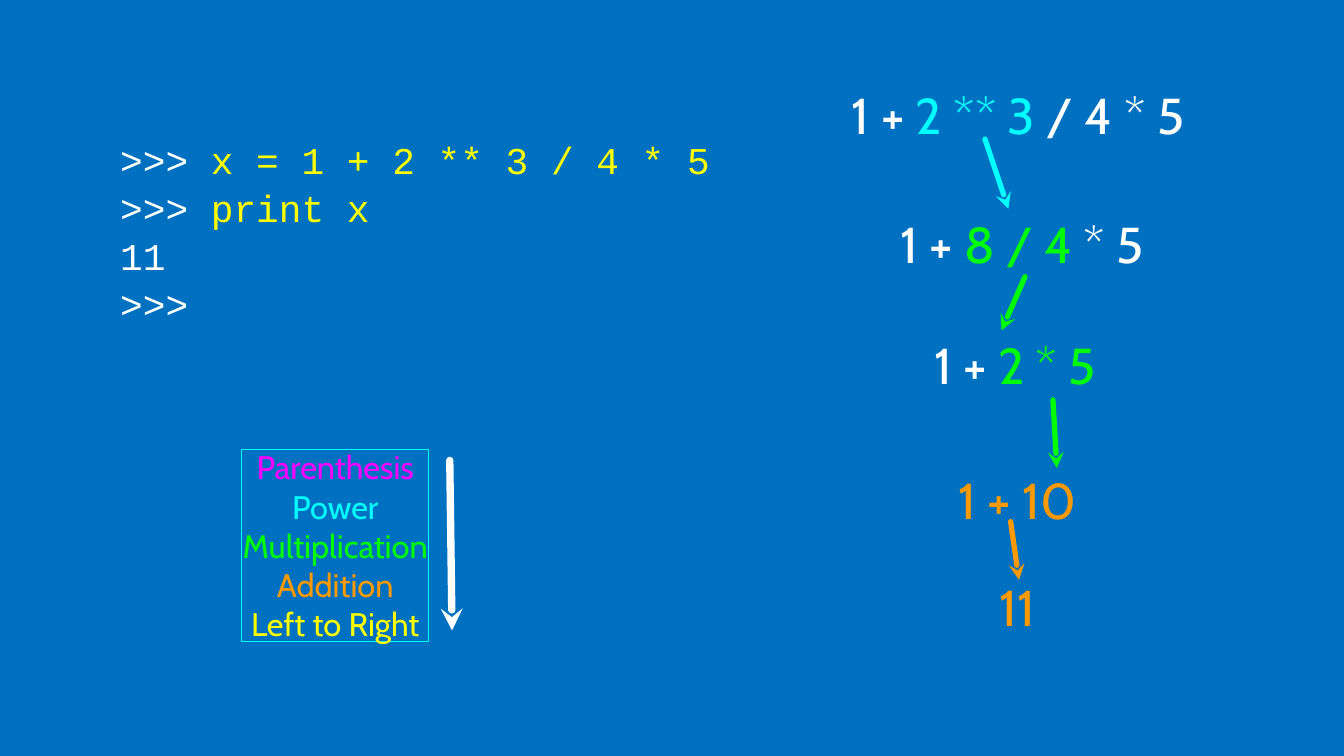
"""Build a slide that traces operator precedence through a Python expression."""
from typing import NamedTuple

import lxml.etree
import pptx
import pptx.dml.color
import pptx.enum.shapes
import pptx.enum.text
import pptx.oxml.ns
import pptx.util
from pptx.util import Inches

WHITE, CYAN, GREEN = "FFFFFF", "00FFFF", "00FF00"
ORANGE, YELLOW, MAGENTA = "FF9900", "FFFF00", "FF00FF"


class Run(NamedTuple):
    text: str
    color: str


class Step(NamedTuple):
    left: float
    top: float
    width: float
    runs: list[Run]


class Arrow(NamedTuple):
    tip: tuple[float, float]
    end: tuple[float, float]
    color: str
    weight: float = 5


STEPS = [
    Step(11.27, 1.08, 4.68, [Run("1 + ", WHITE), Run("2 ** 3", CYAN), Run(" / 4 * 5", WHITE)]),
    Step(11.91, 2.78, 3.42, [Run("1 + ", WHITE), Run("8 / 4", GREEN), Run(" * 5", WHITE)]),
    Step(12.36, 4.38, 2.53, [Run("1 + ", WHITE), Run("2 * 5", GREEN)]),
    Step(12.68, 6.17, 1.88, [Run("1 + 10", ORANGE)]),
    Step(13.22, 7.58, 0.79, [Run("11", ORANGE)]),
]
STEP_ARROWS = [
    Arrow((13.34, 2.76), (13.03, 1.84), CYAN),
    Arrow((13.25, 4.37), (13.56, 3.66), GREEN),
    Arrow((13.98, 6.19), (13.93, 5.29), GREEN),
    Arrow((13.48, 7.67), (13.37, 6.9), ORANGE),
]
PRECEDENCE = [
    [Run("Parenthesis", MAGENTA)],
    [Run("Power", CYAN)],
    [Run("Multiplication", GREEN)],
    [Run("Addition", ORANGE)],
    [Run("Left to Right", YELLOW)],
]
PRECEDENCE_ARROW = Arrow((5.98, 8.34), (5.95, 6.09), WHITE, 7)
SESSION = [
    [Run(">>> ", WHITE), Run("x = 1 + 2 ** 3 / 4 * 5", YELLOW)],
    [Run(">>> ", WHITE), Run("print x", YELLOW)],
    [Run("11", WHITE)],
    [Run(">>>", WHITE)],
]


def rgb(color: str) -> pptx.dml.color.RGBColor:
    return pptx.dml.color.RGBColor.from_string(color)


def write_lines(shape, lines: list[list[Run]], font: str, size: float,
                alignment=pptx.enum.text.PP_ALIGN.LEFT, spacing: float = 1.0) -> None:
    frame = shape.text_frame
    frame.word_wrap = True
    frame.vertical_anchor = pptx.enum.text.MSO_ANCHOR.MIDDLE
    frame.margin_left = frame.margin_right = frame.margin_top = frame.margin_bottom = 0
    for index, runs in enumerate(lines):
        paragraph = frame.add_paragraph() if index else frame.paragraphs[0]
        paragraph.alignment = alignment
        paragraph.line_spacing = spacing
        paragraph.font.name = font
        paragraph.font.size = pptx.util.Pt(size)
        for part in runs:
            run = paragraph.add_run()
            run.text = part.text
            run.font.color.rgb = rgb(part.color)


def draw_arrow(shapes, arrow: Arrow) -> None:
    connector = shapes.add_connector(
        pptx.enum.shapes.MSO_CONNECTOR.STRAIGHT,
        *(Inches(value) for value in arrow.tip + arrow.end))
    connector.line.color.rgb = rgb(arrow.color)
    connector.line.width = pptx.util.Pt(arrow.weight)
    line = connector.line._get_or_add_ln()
    line.set("cap", "rnd")
    qualify = pptx.oxml.ns.qn
    lxml.etree.SubElement(line, qualify("a:round"))
    lxml.etree.SubElement(line, qualify("a:headEnd"), type="stealth")
    lxml.etree.SubElement(connector._element.spPr, qualify("a:effectLst"))


def draw_precedence(slide) -> None:
    group = slide.shapes.add_group_shape()
    box = group.shapes.add_shape(
        pptx.enum.shapes.MSO_SHAPE.RECTANGLE,
        Inches(3.2), Inches(5.94), Inches(2.47), Inches(2.54))
    box.shadow.inherit = False
    box.fill.background()
    box.line.color.rgb = rgb(CYAN)
    box.line.width = pptx.util.Pt(0.75)
    write_lines(box, PRECEDENCE, "Cabin", 31, pptx.enum.text.PP_ALIGN.CENTER)
    draw_arrow(group.shapes, PRECEDENCE_ARROW)


def draw_step(slide, step: Step) -> None:
    box = slide.shapes.add_textbox(
        Inches(step.left), Inches(step.top), Inches(step.width), Inches(0.87))
    write_lines(box, [step.runs], "Cabin", 48)


def main() -> None:
    presentation = pptx.Presentation()
    presentation.slide_width = Inches(17.78)
    presentation.slide_height = Inches(10)
    slide = presentation.slides.add_slide(presentation.slide_layouts[6])
    slide.background.fill.solid()
    slide.background.fill.fore_color.rgb = rgb("0070C0")

    draw_precedence(slide)
    for step in STEPS:
        draw_step(slide, step)
    for arrow in STEP_ARROWS:
        draw_arrow(slide.shapes, arrow)
    session = slide.shapes.add_textbox(Inches(1.59), Inches(1.43), Inches(8.04), Inches(3.23))
    write_lines(session, SESSION, "Courier New", 36, spacing=1.06)
    presentation.save("out.pptx")


if __name__ == "__main__":
    main()
